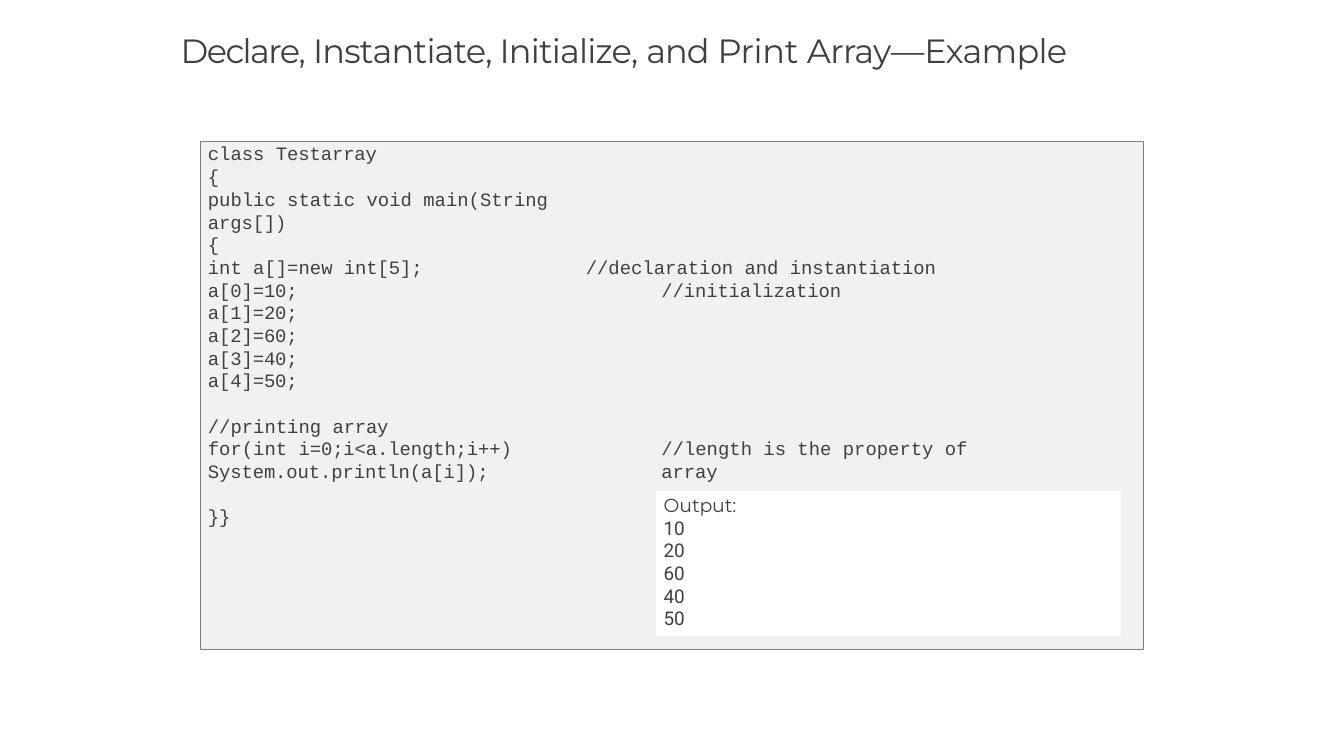
"""Build a slide with a Java array listing and its output."""
from pptx import Presentation
from pptx.dml.color import RGBColor
from pptx.enum.shapes import MSO_SHAPE
from pptx.enum.text import MSO_ANCHOR, PP_ALIGN
from pptx.util import Inches, Pt

RECT = MSO_SHAPE.RECTANGLE
TOP = MSO_ANCHOR.TOP
LEFT = PP_ALIGN.LEFT
INK, PANEL, EDGE, WHITE = "404040", "F1F1F1", "7E7E7E", "FFFFFF"
SANS, MONO, NUMS = "Montserrat", "Courier New", "Roboto"

WIDE, HIGH = 17.78, 10
X0, Y0, STEP = 2.75, 1.87, 0.3

TITLE = [[("Declare, ", -1.5), ("Instantiate, Initialize, ", -0.8), ("and ", -0.9),
          ("Print ", -0.3), ("Array—", -0.6), ("Example", -0.7)]]

# column offset, row, width, rows, indents, paragraphs
CODE = [
    (0, 0, 5.69, 4, {}, [
        [("class ", 0), ("Testarray", -0.1)],
        [("{", -0.5)],
        [("public static void main(String ", 0), ("args[])", -0.1)],
        [("{", -0.5)]]),
    (5, 5, 4.64, 2, {1: 1}, [
        [("//declaration and ", 0), ("instantiation", -0.1)],
        [("//initialization", -0.1)]]),
    (0, 5, 2.85, 6, {}, [
        [("int a[]=new ", 0), ("int[5]; a[0]=10;", -0.1)],
        *[[(f"a[{i}]={n};", -0.1)] for i, n in enumerate((20, 60, 40, 50), 1)]]),
    (6, 13, 4.94, 1, {}, [[("//length is the property of ", 0), ("array", -0.1)]]),
    (0, 12, 4.05, 3, {}, [
        [("//printing ", 0), ("array", -0.2)],
        [("for(int ", 0), ("i=0;i<a.length;i++) System.out.println(a[i]);", -0.1)]]),
    (0, 16, 0.31, 1, {}, [[("}}", -0.2)]]),
]
HEAD = "Output:"
VALUES = ["10", "20", "60", "40", "50"]


def color(code):
    return RGBColor.from_string(code)


def setup(shape, inset=0.01):
    frame = shape.text_frame
    frame.word_wrap = True
    frame.vertical_anchor = TOP
    frame.margin_left = frame.margin_right = frame.margin_bottom = 0
    frame.margin_top = Inches(inset)
    return frame


def write(frame, paras, fonts, size=18, before=1, dents=None):
    for i, runs in enumerate(paras):
        para = frame.paragraphs[0] if i == 0 else frame.add_paragraph()
        para.alignment = LEFT
        para.space_before = Pt(before if i == 0 else 0)
        dent = (dents or {}).get(i, 0)
        para._p.get_or_add_pPr().set("marL", str(Inches(dent)))
        for text, gap in runs:
            run = para.add_run()
            run.text = text
            run.font.name = fonts[min(i, len(fonts) - 1)]
            run.font.size = Pt(size)
            run.font.color.rgb = color(INK)
            run.font._element.set("spc", str(round(gap * 100)))


def block(shapes, at, fill, edge=None):
    shape = shapes.add_shape(RECT, *map(Inches, at))
    shape.shadow.inherit = False
    shape.fill.solid()
    shape.fill.fore_color.rgb = color(fill)
    if edge:
        shape.line.color.rgb = color(edge)
        shape.line.width = Pt(0.72)
    else:
        shape.line.fill.background()
    return shape


def label(shapes, at):
    return setup(shapes.add_textbox(*map(Inches, at)))


def main():
    deck = Presentation()
    deck.slide_width, deck.slide_height = Inches(WIDE), Inches(HIGH)
    shapes = deck.slides.add_slide(deck.slide_layouts[6]).shapes

    write(label(shapes, (1.73, 0.38, 14.32, 0.56)), TITLE, [SANS], 32, 1.1, {0: 0.66})
    block(shapes, (X0 - 0.1, Y0, 12.48, 6.72), PANEL, EDGE)
    for col, row, width, rows, dents, paras in CODE:
        at = (X0 + col, Y0 + row * STEP, width, rows * STEP + 0.03)
        write(label(shapes, at), paras, [MONO], dents=dents)

    box = block(shapes, (8.68, 6.49, 6.15, 1.92), WHITE)
    paras = [[(HEAD, -0.1)], *[[(value, -0.2)] for value in VALUES]]
    dents = dict.fromkeys(range(len(paras)), 0.1)
    write(setup(box, 0.04), paras, [SANS, NUMS], before=2.5, dents=dents)
    deck.save("out.pptx")


if __name__ == "__main__":
    main()
